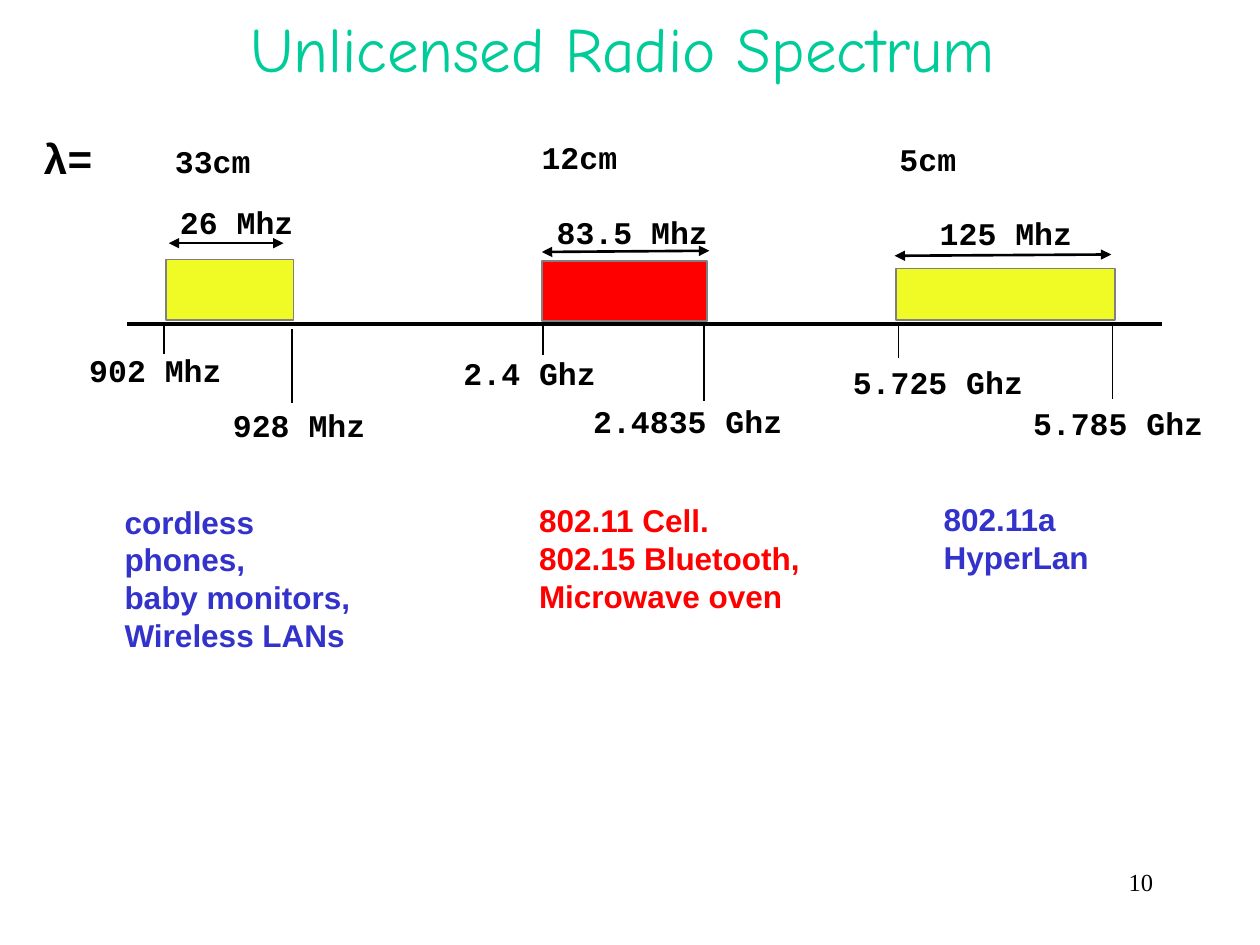
from lxml import etree
from pptx import Presentation
from pptx import util as u
from pptx.dml.color import RGBColor
from pptx.enum import shapes, text
from pptx.oxml import ns

PX = 9144  # 100 px to the inch

BLACK = RGBColor(0x00, 0x00, 0x00)
GREY = RGBColor(0x80, 0x80, 0x80)
GREEN = RGBColor(0x00, 0xCC, 0x99)
YELLOW = RGBColor(0xF0, 0xFA, 0x24)
RED = RGBColor(0xFF, 0x00, 0x00)
BLUE = RGBColor(0x33, 0x33, 0xCC)

MONO, SANS, SERIF, COMIC = "Courier New", "Arial", "Times New Roman", "Comic Neue"

# Bands from left to right: bar, span arrow, edge ticks, and labels as (words, x, y, width)
BANDS = [
    dict(bar=(132, 206, 101, 48), fill=YELLOW, ink=BLUE,
         wave=("33cm", 129, 108, 80), span=("26 Mhz", 133, 156, 110),
         arrow=(134, 193, 225, 193),
         ticks=[(130, 256, 281), (232, 261, 320)],
         edges=[("902 Mhz", 61, 274, 125), ("928 Mhz", 175, 317, 125)],
         uses=(["cordless phones,", "baby monitors,", "Wireless LANs"], 89, 394, 225)),
    dict(bar=(430, 207, 131, 48), fill=RED, ink=RED,
         wave=("12cm", 420, 105, 80), span=("83.5 Mhz", 432, 164, 140),
         arrow=(430, 200, 563, 199),
         ticks=[(431, 258, 282), (559, 259, 318)],
         edges=[("2.4 Ghz", 358, 276, 125), ("2.4835 Ghz", 461, 314, 170)],
         uses=(["802.11 Cell.", "802.15 Bluetooth,", "Microwave oven"], 418, 393, 227)),
    dict(bar=(711, 213, 174, 41), fill=YELLOW, ink=BLUE,
         wave=("5cm", 704, 106, 65), span=("125 Mhz", 736, 165, 125),
         arrow=(710, 203, 882, 202),
         ticks=[(713, 259, 284), (883, 258, 317)],
         edges=[("5.725 Ghz", 667, 283, 155), ("5.785 Ghz", 810, 316, 155)],
         uses=(["802.11a", "HyperLan"], 739, 392, 135)),
]


def px(*vals):
    return [u.Emu(v * PX) for v in vals]


def add_run(para, words, font, size, color, bold=False):
    run = para.add_run()
    run.text = words
    run.font.name = font
    run.font.size = u.Pt(size)
    run.font.bold = bold
    run.font.color.rgb = color


def add_box(slide, x, y, w, h, wrap=False, grow=True):
    frame = slide.shapes.add_textbox(*px(x, y, w, h)).text_frame
    frame.word_wrap = wrap
    if grow:
        frame.auto_size = text.MSO_AUTO_SIZE.SHAPE_TO_FIT_TEXT
    return frame


def add_label(slide, label, font=MONO, color=BLACK):
    words, x, y, w = label
    lines = [words] if isinstance(words, str) else words
    frame = add_box(slide, x, y, w, 10 + 30 * len(lines))
    for i, line in enumerate(lines):
        para = frame.add_paragraph() if i else frame.paragraphs[0]
        add_run(para, line, font, 18, color, True)


def add_line(slide, x1, y1, x2, y2, width, arrows=False):
    line = slide.shapes.add_connector(
        shapes.MSO_CONNECTOR.STRAIGHT, *px(x1, y1, x2, y2))
    line.line.color.rgb = BLACK
    line.line.width = u.Pt(width)
    if arrows:
        ln = line.line._get_or_add_ln()
        for end in ("a:headEnd", "a:tailEnd"):
            etree.SubElement(ln, ns.qn(end), type="triangle")
    etree.SubElement(line._element.spPr, ns.qn("a:effectLst"))


def add_bar(slide, bounds, fill):
    bar = slide.shapes.add_shape(shapes.MSO_SHAPE.RECTANGLE, *px(*bounds))
    bar.shadow.inherit = False
    bar.fill.solid()
    bar.fill.fore_color.rgb = fill
    bar.line.color.rgb = GREY
    bar.line.width = u.Pt(1)


def add_title(slide, words):
    title = slide.shapes.title
    title.left, title.top, title.width, title.height = px(75, 0, 850, 75)
    frame = title.text_frame
    frame.vertical_anchor = text.MSO_ANCHOR.MIDDLE
    frame.margin_right = u.Emu(22 * PX)
    para = frame.paragraphs[0]
    para.alignment = text.PP_ALIGN.CENTER
    add_run(para, words, COMIC, 36, GREEN)


def add_band(slide, band):
    add_bar(slide, band["bar"], band["fill"])
    add_line(slide, *band["arrow"], 1.5, arrows=True)
    for x, top, end in band["ticks"]:
        add_line(slide, x, top, x, end, 1)
    for label in (band["wave"], band["span"], *band["edges"]):
        add_label(slide, label)
    add_label(slide, band["uses"], SANS, band["ink"])


def main():
    prs = Presentation()
    prs.slide_width, prs.slide_height = px(1000, 750)
    slide = prs.slides.add_slide(prs.slide_layouts[5])
    add_title(slide, "Unlicensed Radio Spectrum")

    # Frequency axis and bands
    add_line(slide, 101, 257, 922, 257, 2.25)
    for band in BANDS:
        add_band(slide, band)

    # Wavelength row heading
    para = add_box(slide, 25, 100, 75, 50, wrap=True).paragraphs[0]
    add_run(para, "λ", SANS, 24, BLACK, True)
    add_run(para, "=", MONO, 24, BLACK, True)

    # Page number
    para = add_box(slide, 717, 683, 208, 50, wrap=True, grow=False).paragraphs[0]
    para.alignment = text.PP_ALIGN.RIGHT
    add_run(para, "10", SERIF, 14, BLACK)

    prs.save("out.pptx")


if __name__ == "__main__":
    main()
